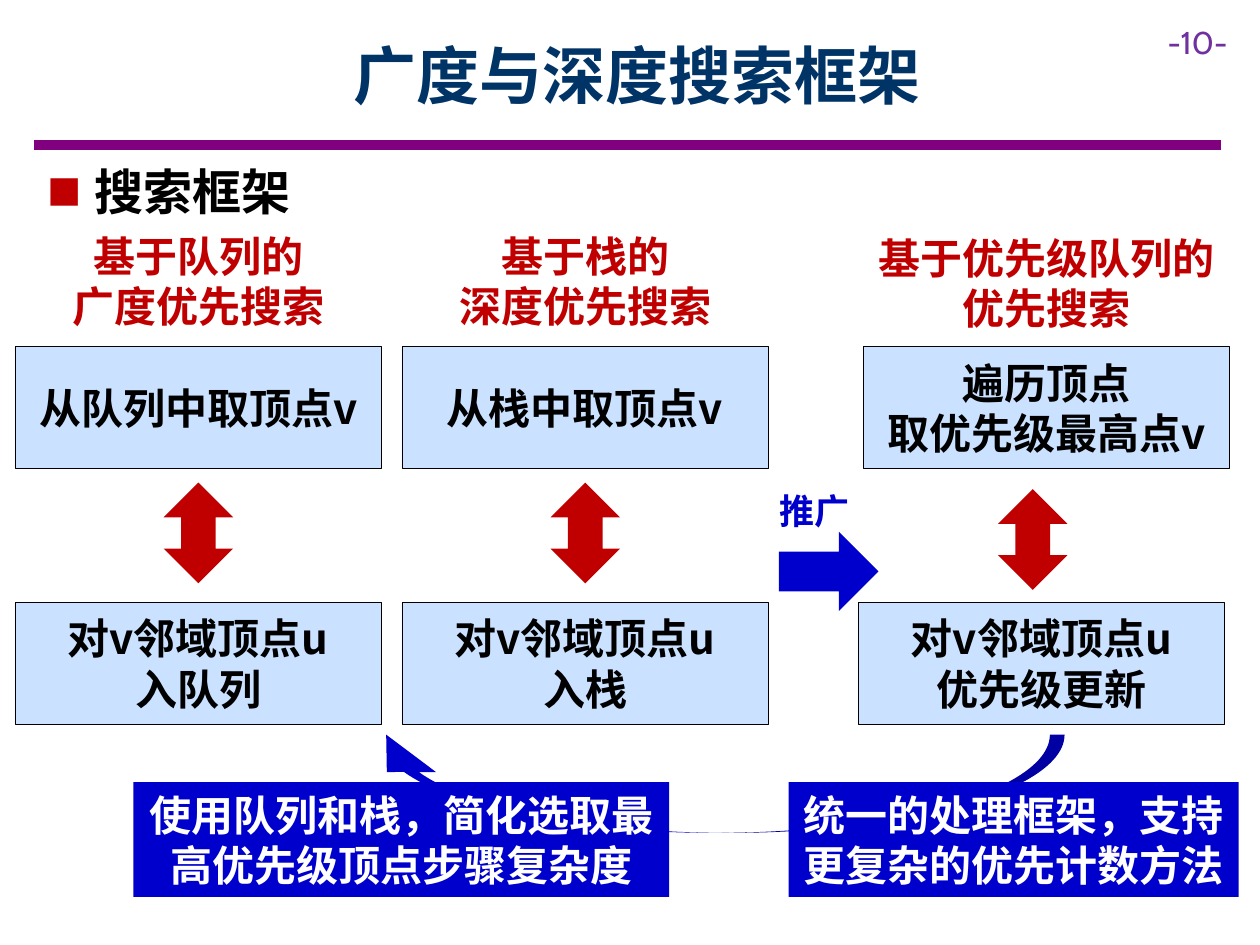
import pptx
import pptx.dml.color
import pptx.enum.shapes
import pptx.enum.text
import pptx.util
from lxml import etree

Cm, Pt = pptx.util.Cm, pptx.util.Pt
RGBColor = pptx.dml.color.RGBColor
SHAPE = pptx.enum.shapes.MSO_SHAPE
ALIGN = pptx.enum.text.PP_ALIGN
ANCHOR = pptx.enum.text.MSO_ANCHOR
A = "{http://schemas.openxmlformats.org/drawingml/2006/main}"

PURPLE = RGBColor(0x80, 0x00, 0x80)
VIOLET = RGBColor(0x70, 0x30, 0xA0)
NAVY = RGBColor(0x00, 0x33, 0x66)
RED = RGBColor(0xC0, 0x00, 0x00)
BLUE = RGBColor(0x00, 0x00, 0xCC)
PALE = RGBColor(0xCA, 0xE2, 0xFF)
BLACK = RGBColor(0x00, 0x00, 0x00)
WHITE = RGBColor(0xFF, 0xFF, 0xFF)


class SlideBuilder:
    font = "Noto Sans CJK SC"
    line_spacing = 1.2

    def __init__(self, prs):
        self.slide = prs.slides.add_slide(prs.slide_layouts[1])
        self.shapes = self.slide.shapes

    def set_text(self, sp, text, size, color, font=None, bold=True,
                 align=ALIGN.CENTER, anchor=ANCHOR.MIDDLE, wrap=True, after=0):
        tf = sp.text_frame
        frame = {"word_wrap": wrap, "vertical_anchor": anchor,
                 "auto_size": pptx.enum.text.MSO_AUTO_SIZE.NONE,
                 "margin_left": Cm(0.25), "margin_right": Cm(0.25),
                 "margin_top": Cm(0.13), "margin_bottom": Cm(0.13)}
        para = {"alignment": align, "space_before": Pt(0), "space_after": Pt(after),
                "line_spacing": Pt(round(size * self.line_spacing, 1))}
        run = {"name": font or self.font, "size": Pt(size), "bold": bold}
        for key, value in frame.items():
            setattr(tf, key, value)
        for i, line in enumerate(text.split("\n")):
            p = tf.paragraphs[0] if i == 0 else tf.add_paragraph()
            for key, value in para.items():
                setattr(p, key, value)
            r = p.add_run()
            r.text = line
            for key, value in run.items():
                setattr(r.font, key, value)
            r.font.color.rgb = color
            etree.SubElement(r._r.get_or_add_rPr(), A + "ea", typeface=font or self.font)

    def place(self, sp, x, y, w, h):
        for key, value in zip(("left", "top", "width", "height"), (x, y, w, h)):
            setattr(sp, key, Cm(value))

    def title(self, text, *box):
        sp = self.shapes.title
        self.place(sp, *box)
        self.set_text(sp, text, 36, NAVY)

    def bullet(self, text, *box):
        sp = self.slide.placeholders[1]
        self.place(sp, *box)
        self.set_text(sp, text, 28, BLACK, align=ALIGN.LEFT, anchor=ANCHOR.TOP, after=6)
        for p in sp.text_frame.paragraphs:
            pPr = p._p.get_or_add_pPr()
            pPr.set("marL", str(Cm(0.95)))
            pPr.set("indent", str(-Cm(0.95)))
            color = etree.SubElement(pPr, A + "buClr")
            etree.SubElement(color, A + "srgbClr", val=str(RED))
            etree.SubElement(pPr, A + "buSzPct", val="70000")
            etree.SubElement(pPr, A + "buFont", typeface=self.font)
            etree.SubElement(pPr, A + "buChar", char="■")

    def text(self, text, x, y, w, h, size, color, **style):
        sp = self.shapes.add_textbox(Cm(x), Cm(y), Cm(w), Cm(h))
        self.set_text(sp, text, size, color, **style)

    def shape(self, kind, x, y, w, h, fill, outline=None):
        sp = self.shapes.add_shape(kind, Cm(x), Cm(y), Cm(w), Cm(h))
        sp.shadow.inherit = False
        sp.fill.solid()
        sp.fill.fore_color.rgb = fill
        if outline is None:
            sp.line.fill.background()
        else:
            sp.line.color.rgb = outline
            sp.line.width = Pt(0.25)
        return sp

    def step(self, text, x, y):
        sp = self.shape(SHAPE.RECTANGLE, x, y, 7.39, 2.46, PALE, BLACK)
        self.set_text(sp, text, 24, BLACK)

    def callout(self, text, x, w):
        sp = self.shape(SHAPE.RECTANGLE, x, 15.77, w, 2.31, BLUE)
        self.set_text(sp, text, 24, WHITE)

    def rule(self, x1, x2, y):
        line = self.shapes.add_connector(
            pptx.enum.shapes.MSO_CONNECTOR.STRAIGHT, Cm(x1), Cm(y), Cm(x2), Cm(y))
        line.line.color.rgb = PURPLE
        line.line.width = Pt(6)
        etree.SubElement(line._element.spPr, A + "effectLst")

    def column(self, heading, take, update, head, take_x, update_x, arrow):
        """Heading, two steps and the double arrow between them."""
        self.text(heading, *head, 2.29, 24, RED)
        self.step(take, take_x, 6.99)
        self.shape(SHAPE.UP_DOWN_ARROW, *arrow, 1.4, 2.03, RED)
        self.step(update, update_x, 12.14)


def main():
    prs = pptx.Presentation()
    prs.slide_width, prs.slide_height = Cm(25.4), Cm(19.05)
    s = SlideBuilder(prs)

    s.rule(0.69, 24.61, 2.92)
    s.text("-10-", 23.29, 0.33, 2.11, 1.02, 18, VIOLET,
           font="Cabin", bold=False, align=ALIGN.LEFT)
    s.title("广度与深度搜索框架", 2.29, 0.23, 21.11, 2.54)
    s.bullet("搜索框架", 0.71, 3.12, 8.79, 1.45)

    basic = [("基于队列的\n广度优先搜索", "从队列中取顶点v", "对v邻域顶点u\n入队列"),
             ("基于栈的\n深度优先搜索", "从栈中取顶点v", "对v邻域顶点u\n入栈")]
    for i, words in enumerate(basic):
        x = 0.3 + 7.8 * i
        s.column(*words, (x, 4.52, 7.39), x, x, (x + 3, 9.73))
    s.column("基于优先级队列的\n优先搜索", "遍历顶点\n取优先级最高点v",
             "对v邻域顶点u\n优先级更新", (17.09, 4.55, 8), 17.4, 17.3, (20.12, 9.86))

    s.shape(SHAPE.RIGHT_ARROW, 15.7, 10.72, 2.01, 1.6, BLUE)
    s.text("推广", 15.47, 9.73, 1.93, 1.12, 20, BLUE,
           align=ALIGN.LEFT, wrap=False, after=6)

    back = s.shape(SHAPE.CURVED_DOWN_ARROW, 7.29, 14.81, 14.17, 1.98, BLUE)
    back.rotation = 180
    for i, value in enumerate((0.15, 0.5, 0.38)):
        back.adjustments[i] = value
    s.callout("统一的处理框架，支持更复杂的优先计数方法", 15.9, 9.07)
    s.callout("使用队列和栈，简化选取最高优先级顶点步骤复杂度", 2.69, 10.8)

    prs.save("out.pptx")


if __name__ == "__main__":
    main()
